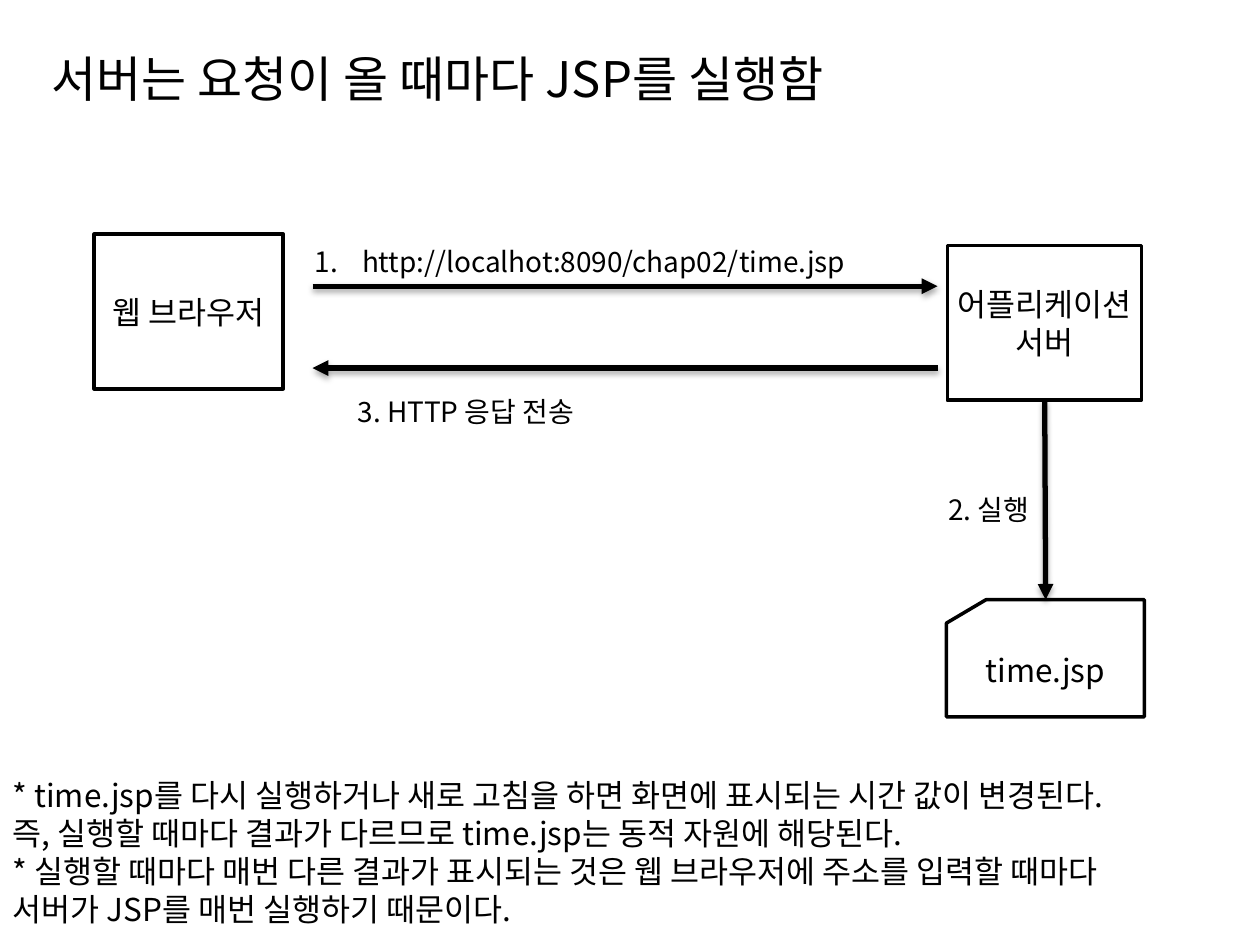
from lxml.etree import SubElement
from pptx import Presentation
from pptx.dml.color import RGBColor
from pptx.enum.shapes import MSO_CONNECTOR, MSO_SHAPE
from pptx.enum.text import MSO_ANCHOR, MSO_AUTO_SIZE, PP_ALIGN
from pptx.oxml.ns import qn
from pptx.util import Cm, Pt

THEME = {
    "font": "Noto Sans CJK KR",
    "ink": RGBColor(0, 0, 0),
    "paper": RGBColor(255, 255, 255),
    "title": 28,
    "body": 18,
    "label": 16,
    "line_spacing": 1.2,
    "box_line": 2,
    "arrow_line": 3,
}

TITLE = ("서버는 요청이 올 때마다 JSP를 실행함", (0.79, 0.76, 24, 1.63))
NOTES = (
    [
        "* time.jsp를 다시 실행하거나 새로 고침을 하면 화면에 표시되는 시간 값이 변경된다.",
        "즉, 실행할 때마다 결과가 다르므로 time.jsp는 동적 자원에 해당된다.",
        "* 실행할 때마다 매번 다른 결과가 표시되는 것은 웹 브라우저에 주소를 입력할 때마다",
        "서버가 JSP를 매번 실행하기 때문이다.",
    ],
    (0, 15.52, 25.4, 3.33),
)
BOXES = [
    ("웹 브라우저", MSO_SHAPE.RECTANGLE, (1.9, 4.72, 3.81, 3.12), False),
    ("어플리케이션\n서버", MSO_SHAPE.RECTANGLE, (19.1, 4.95, 3.91, 3.12), False),
    ("time.jsp", MSO_SHAPE.FLOWCHART_CARD, (19.08, 12.09, 3.99, 2.36), True),
]
ARROWS = [
    (6.3, 5.77, 18.9, 5.77),
    (18.9, 7.42, 6.3, 7.42),
    (21.06, 8.08, 21.08, 12.09),
]
LABELS = [
    ("http://localhot:8090/chap02/time.jsp", (6.1, 4.8, 14.02, 0.86), True),
    ("3. HTTP 응답 전송", (6.96, 7.82, 11.81, 0.86), False),
    ("2. 실행", (18.87, 9.8, 2.59, 0.86), False),
]


def lengths(values):
    return [Cm(value) for value in values]


def place(shape, area):
    shape.left, shape.top, shape.width, shape.height = lengths(area)


def write(shape, text, size, align=PP_ALIGN.LEFT, anchor=MSO_ANCHOR.TOP, wrap=True):
    text_frame = shape.text_frame
    text_frame.text = text
    text_frame.word_wrap = wrap
    text_frame.auto_size = MSO_AUTO_SIZE.NONE
    text_frame.vertical_anchor = anchor
    for paragraph in text_frame.paragraphs:
        paragraph.alignment = align
        paragraph.line_spacing = Pt(size * THEME["line_spacing"])
        paragraph.space_before = Pt(0)
        for run in paragraph.runs:
            run.font.size = Pt(size)
            run.font.name = THEME["font"]
            run.font.color.rgb = THEME["ink"]
            SubElement(run.font._element, qn("a:ea"), typeface=THEME["font"])


def set_bullet(paragraph, tag, indent=0, **attributes):
    properties = paragraph._p.get_or_add_pPr()
    properties.set("marL", str(Cm(indent)))
    properties.set("indent", str(-Cm(indent)))
    SubElement(properties, qn(tag), **attributes)


def add_box(slide, text, kind, area, wrap):
    shape = slide.shapes.add_shape(kind, *lengths(area))
    shape.shadow.inherit = False
    shape.fill.solid()
    shape.fill.fore_color.rgb = THEME["paper"]
    shape.line.color.rgb = THEME["ink"]
    shape.line.width = Pt(THEME["box_line"])
    write(shape, text, THEME["body"], PP_ALIGN.CENTER, MSO_ANCHOR.MIDDLE, wrap)


def add_arrow(slide, ends):
    connector = slide.shapes.add_connector(MSO_CONNECTOR.STRAIGHT, *lengths(ends))
    connector.line.color.rgb = THEME["ink"]
    connector.line.width = Pt(THEME["arrow_line"])
    SubElement(connector.line._get_or_add_ln(), qn("a:tailEnd"), type="triangle")
    effects = SubElement(connector._element.spPr, qn("a:effectLst"))
    shadow = SubElement(effects, qn("a:outerShdw"), blurRad="40000", dist="23000",
                        dir="5400000", rotWithShape="0")
    color = SubElement(shadow, qn("a:srgbClr"), val=str(THEME["ink"]))
    SubElement(color, qn("a:alpha"), val="35000")


def add_label(slide, text, area, numbered):
    label = slide.shapes.add_textbox(*lengths(area))
    write(label, text, THEME["label"])
    if numbered:
        set_bullet(label.text_frame.paragraphs[0], "a:buAutoNum", 0.95, type="arabicPeriod")


def main():
    presentation = Presentation()
    presentation.slide_width, presentation.slide_height = Cm(25.4), Cm(19.05)
    slide = presentation.slides.add_slide(presentation.slide_layouts[1])
    title, notes = slide.placeholders

    place(title, TITLE[1])
    write(title, TITLE[0], THEME["title"], anchor=MSO_ANCHOR.MIDDLE)
    place(notes, NOTES[1])
    write(notes, "\n".join(NOTES[0]), THEME["body"])
    for paragraph in notes.text_frame.paragraphs:
        set_bullet(paragraph, "a:buNone")

    for box in BOXES:
        add_box(slide, *box)
    for ends in ARROWS:
        add_arrow(slide, ends)
    for label in LABELS:
        add_label(slide, *label)
    presentation.save("out.pptx")


if __name__ == "__main__":
    main()
